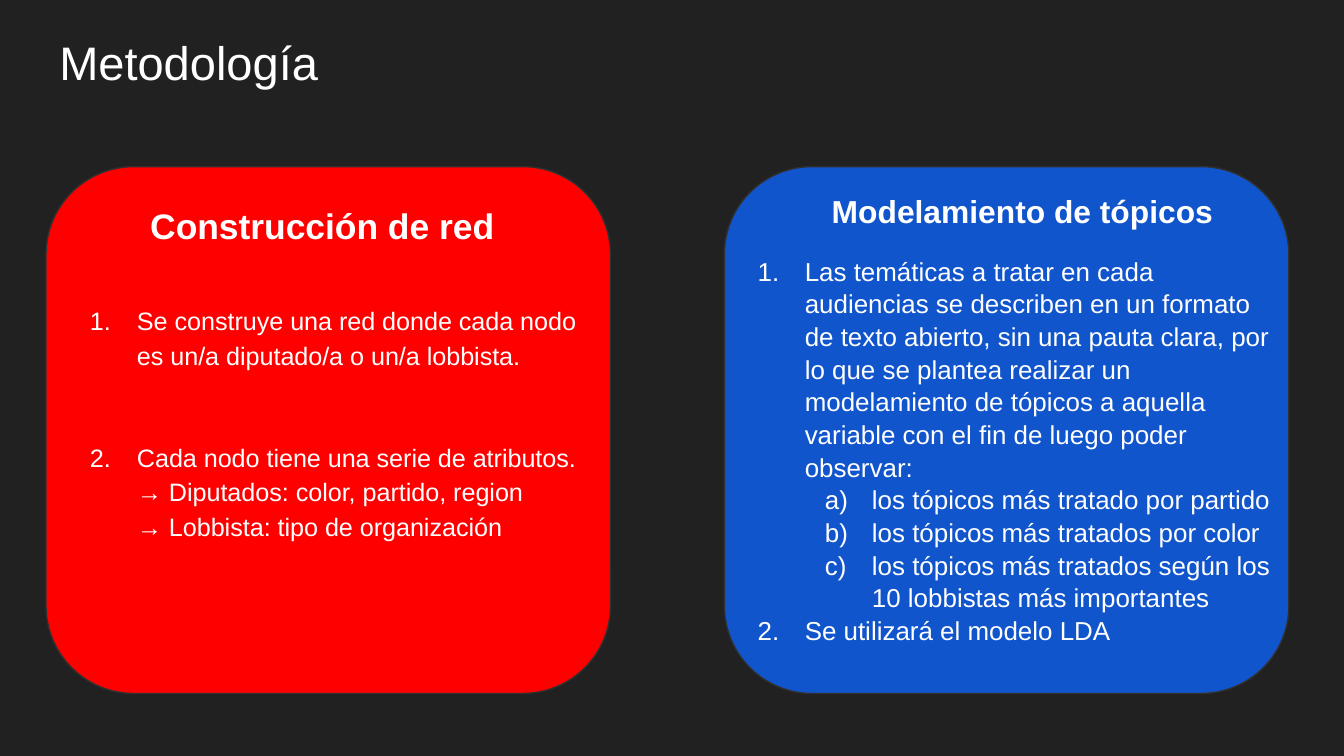
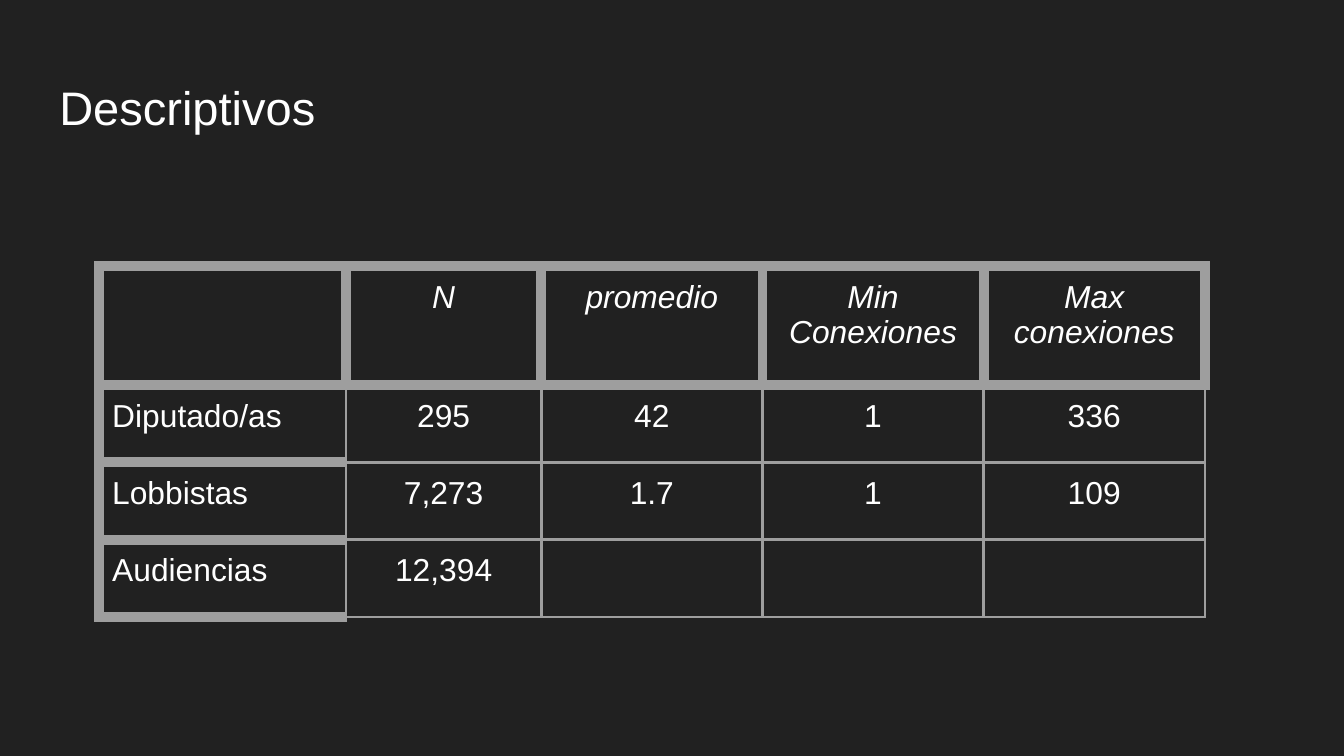
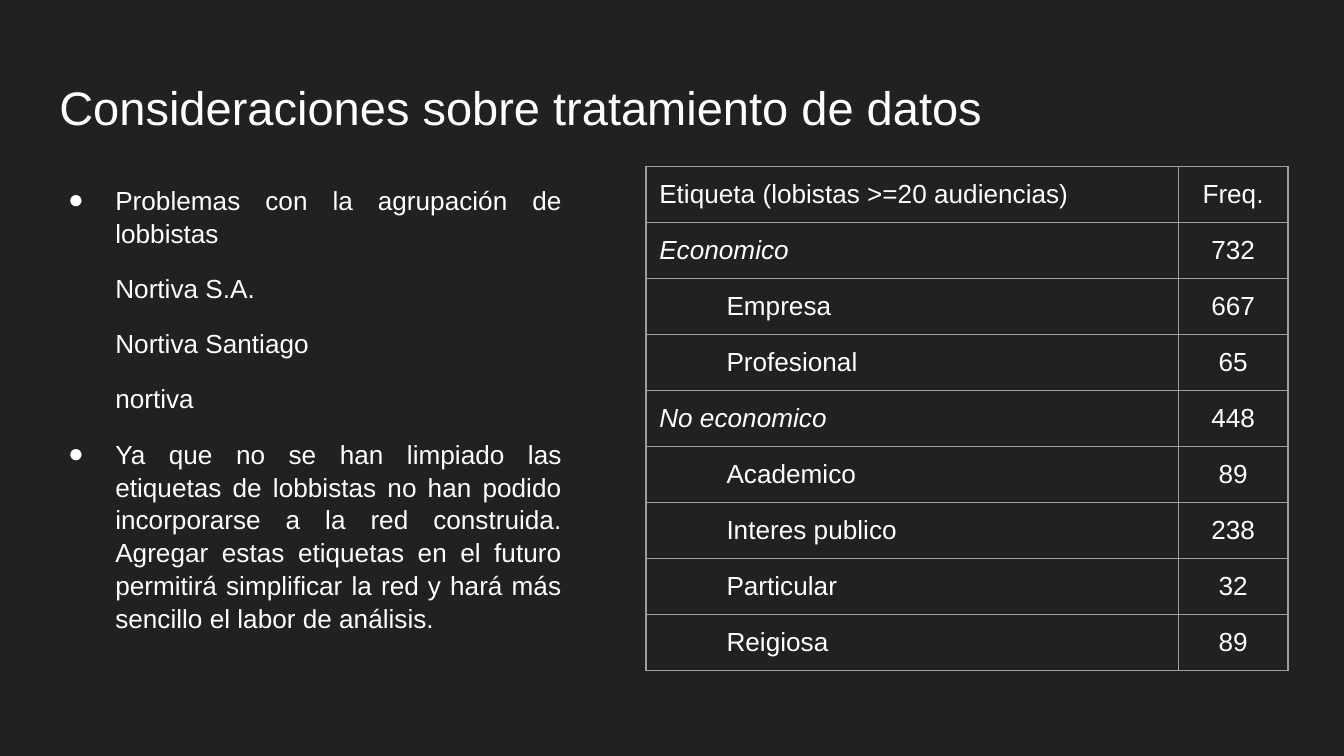
"""Build three dark slides on the method, descriptives and data treatment of a lobbying network."""
import pptx
import pptx.dml.color
import pptx.enum.shapes
import pptx.enum.text
import pptx.oxml
import pptx.oxml.ns
import pptx.util
from lxml import etree

Cm = pptx.util.Cm
Pt = pptx.util.Pt
ALIGN = pptx.enum.text.PP_ALIGN
ANCHOR = pptx.enum.text.MSO_ANCHOR
qn = pptx.oxml.ns.qn

FONT = "Arial"
BACKGROUND, TEXT, CARD_EDGE, GRID = "212121", "FFFFFF", "303030", "9E9E9E"
INSET = Cm(0.25)
INDENT, HANGING = Cm(1.27), Cm(0.89)
NUMBER, LETTER, DOT = "arabicPeriod", "alphaLcParenR", "●"


def paint(fill, colour):
    fill.solid()
    fill.fore_color.rgb = pptx.dml.color.RGBColor.from_string(colour)


def write(frame, text, size, bold=False, italic=False, align=ALIGN.LEFT):
    frame.text = text
    for paragraph in frame.paragraphs:
        paragraph.alignment = align
        for run in paragraph.runs:
            run.font.name, run.font.size = FONT, Pt(size)
            run.font.bold, run.font.italic = bold, italic
            paint(run.font.fill, TEXT)


deck = pptx.Presentation()
deck.slide_width, deck.slide_height = Cm(25.4), Cm(14.29)
paint(deck.slide_master.background.fill, BACKGROUND)

slides = []
for heading, top in [
    ("Metodología", 0.38),
    ("Descriptivos", 1.24),
    ("Consideraciones sobre tratamiento de datos", 1.24),
]:
    slide = deck.slides.add_slide(deck.slide_layouts[5])
    title = slide.shapes.title
    title.left, title.top, title.width, title.height = Cm(0.87), Cm(top), Cm(23.67), Cm(1.6)
    write(title.text_frame, heading, 25.2)
    title.text_frame.vertical_anchor = ANCHOR.TOP
    title.text_frame.auto_size = pptx.enum.text.MSO_AUTO_SIZE.NONE
    slides.append(slide)
method, descriptives, treatment = slides

for colour, left, heading, heading_left, heading_top, size in [
    ("FF0000", 0.87, "Construcción de red", 2.59, 3.61, 19),
    ("1155CC", 13.69, "Modelamiento de tópicos", 15.47, 3.38, 17),
]:
    card = method.shapes.add_shape(
        pptx.enum.shapes.MSO_SHAPE.ROUNDED_RECTANGLE, Cm(left), Cm(3.15), Cm(10.67), Cm(9.96)
    )
    card.shadow.inherit = False
    paint(card.fill, colour)
    paint(card.line.fill, CARD_EDGE)
    card.line.width = Pt(0.75)
    card_heading = method.shapes.add_textbox(Cm(heading_left), Cm(heading_top), Cm(8.33), Cm(1.3))
    write(card_heading.text_frame, heading, size, bold=True)

network_steps = [
    (NUMBER, 0, 0, "Se construye una red donde cada nodo es un/a diputado/a o un/a lobbista."),
    (NUMBER, 0, 36, "Cada nodo tiene una serie de atributos."),
    (None, 0, 0, "→ Diputados: color, partido, region"),
    (None, 0, 0, "→ Lobbista: tipo de organización"),
]
topic_steps = [
    (NUMBER, 0, 0, "Las temáticas a tratar en cada audiencias se describen en un formato de texto "
     "abierto, sin una pauta clara, por lo que se plantea realizar un modelamiento de tópicos a "
     "aquella variable con el fin de luego poder observar:"),
    (LETTER, 1, 0, "los tópicos más tratado por partido"),
    (LETTER, 1, 0, "los tópicos más tratados por color"),
    (LETTER, 1, 0, "los tópicos más tratados según los 10 lobbistas más importantes"),
    (NUMBER, 0, 0, "Se utilizará el modelo LDA"),
]
label_problems = [
    (DOT, 0, 0, "Problemas con la agrupación de lobbistas"),
    (None, 0, 12, "Nortiva S.A."),
    (None, 0, 12, "Nortiva Santiago"),
    (None, 0, 12, "nortiva"),
    (DOT, 0, 12, "Ya que no se han limpiado las etiquetas de lobbistas no han podido incorporarse "
     "a la red construida. Agregar estas etiquetas en el futuro permitirá simplificar la red y "
     "hará más sencillo el labor de análisis."),
]
for slide, items, left, top, width, height, size, spacing, align in [
    (method, network_steps, 1.07, 5.44, 10.46, 7, 13.5, 1.15, ALIGN.LEFT),
    (method, topic_steps, 13.69, 4.55, 10.82, 8.5, 13.9, 1.05, ALIGN.LEFT),
    (treatment, label_problems, 0.66, 3.2, 10.21, 9.5, 14, 1.05, ALIGN.JUSTIFY),
]:
    body = slide.shapes.add_textbox(Cm(left), Cm(top), Cm(width), Cm(height)).text_frame
    write(body, "\n".join(item[-1] for item in items), size, align=align)
    for paragraph, (marker, level, space, _) in zip(body.paragraphs, items):
        paragraph.level = level
        paragraph.line_spacing = spacing
        paragraph.space_before = Pt(space)
        properties = paragraph._p.get_or_add_pPr()
        properties.set("marL", str(INDENT * (level + 1)))
        properties.set("indent", str(-HANGING if marker else 0))
        if marker is None:
            etree.SubElement(properties, qn("a:buNone"))
            continue
        marker_colour = etree.SubElement(properties, qn("a:buClr"))
        etree.SubElement(marker_colour, qn("a:srgbClr"), val=TEXT)
        etree.SubElement(properties, qn("a:buFont"), typeface=FONT)
        if marker == DOT:
            etree.SubElement(properties, qn("a:buChar"), char=DOT)
        else:
            etree.SubElement(properties, qn("a:buAutoNum"), type=marker)

connections = [
    ["", "N", "promedio", "Min\nConexiones", "Max conexiones"],
    ["Diputado/as", "295", "42", "1", "336"],
    ["Lobbistas", "7,273", "1.7", "1", "109"],
    ["Audiencias", "12,394", "", "", ""],
]
labels = [
    ["Etiqueta (lobistas >=20 audiencias)", "Freq."],
    ["Economico", "732"],
    ["Empresa", "667"],
    ["Profesional", "65"],
    ["No economico", "448"],
    ["Academico", "89"],
    ["Interes publico", "238"],
    ["Particular", "32"],
    ["Reigiosa", "89"],
]
italics = connections[0] + ["Economico", "No economico"]
subgroups = ["Empresa", "Profesional", "Academico", "Interes publico", "Particular", "Reigiosa"]

for slide, data, left, top, widths, heights, size, anchor, top_inset, thin, thick in [
    (descriptives, connections, 1.87, 5.03, [4.67, 3.69] + [4.18] * 3, [2.25] + [1.46] * 3,
     17, ANCHOR.TOP, INSET, 1.5, 6),
    (treatment, labels, 12.21, 3.14, [10.06, 2.07], [1.06] * 9,
     14, ANCHOR.BOTTOM, Cm(0.03), 0.75, 0.75),
]:
    table = slide.shapes.add_table(
        len(heights), len(widths), Cm(left), Cm(top), Cm(sum(widths)), Cm(sum(heights))
    ).table
    table.first_row = table.horz_banding = False
    for column, width in zip(table.columns, widths):
        column.width = Cm(width)
    for r, height in enumerate(heights):
        table.rows[r].height = Cm(height)
        for c, value in enumerate(data[r]):
            cell = table.cell(r, c)
            align = ALIGN.CENTER if c else ALIGN.LEFT
            write(cell.text_frame, value, size, italic=value in italics, align=align)
            if value in subgroups:
                cell.text_frame.paragraphs[0]._p.get_or_add_pPr().set("marL", str(INDENT))
            cell.vertical_anchor = anchor
            cell.margin_left = cell.margin_right = cell.margin_bottom = INSET
            cell.margin_top = top_inset
            header, stub = r == 0, c == 0
            edges = {"L": header or stub, "R": header, "T": r <= 1 or stub, "B": header or stub}
            properties = cell._tc.get_or_add_tcPr()
            for side, strong in edges.items():
                edge_width = str(Pt(thick if strong else thin))
                edge = etree.SubElement(properties, qn("a:ln" + side), w=edge_width)
                edge_fill = etree.SubElement(edge, qn("a:solidFill"))
                etree.SubElement(edge_fill, qn("a:srgbClr"), val=GRID)
            cell.fill.background()

for slide in slides:
    for shape in slide.shapes:
        if shape.has_text_frame:
            frame = shape.text_frame
            frame.word_wrap = True
            frame.margin_left = frame.margin_right = INSET
            frame.margin_top = frame.margin_bottom = INSET

deck.save("out.pptx")
